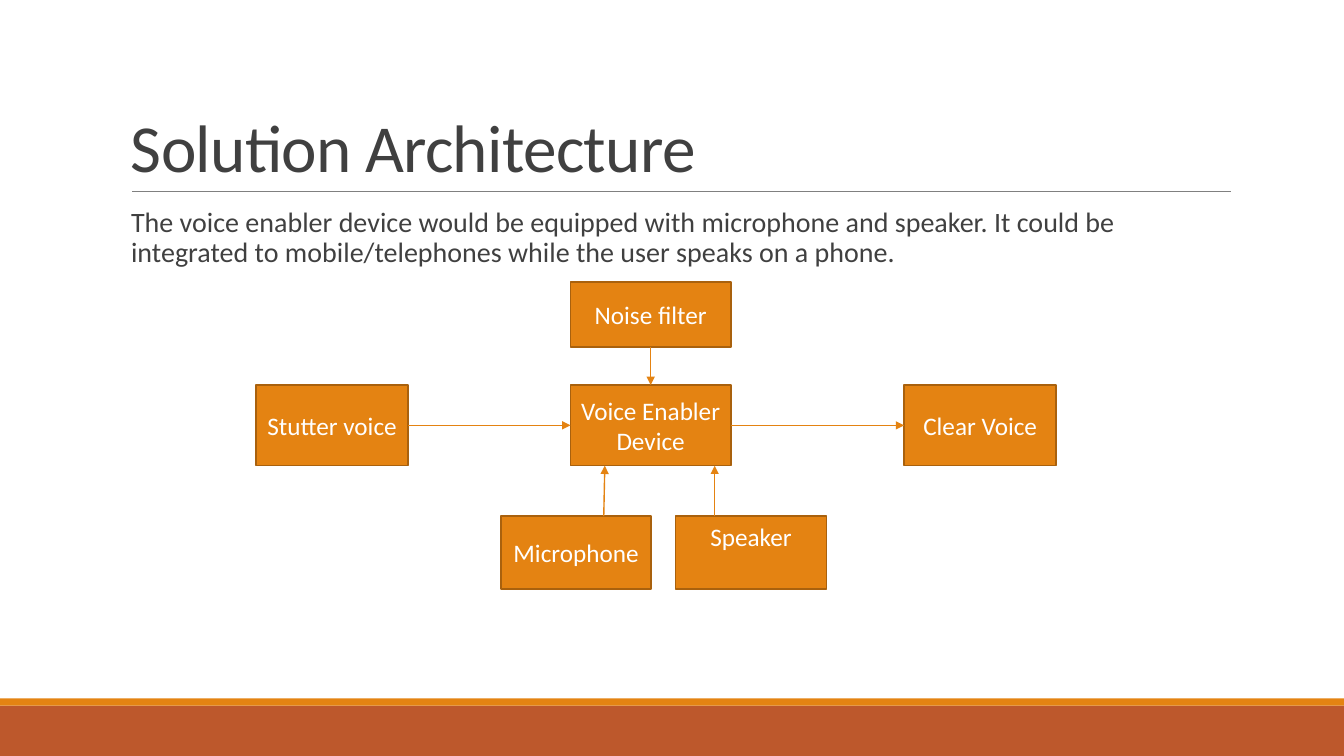
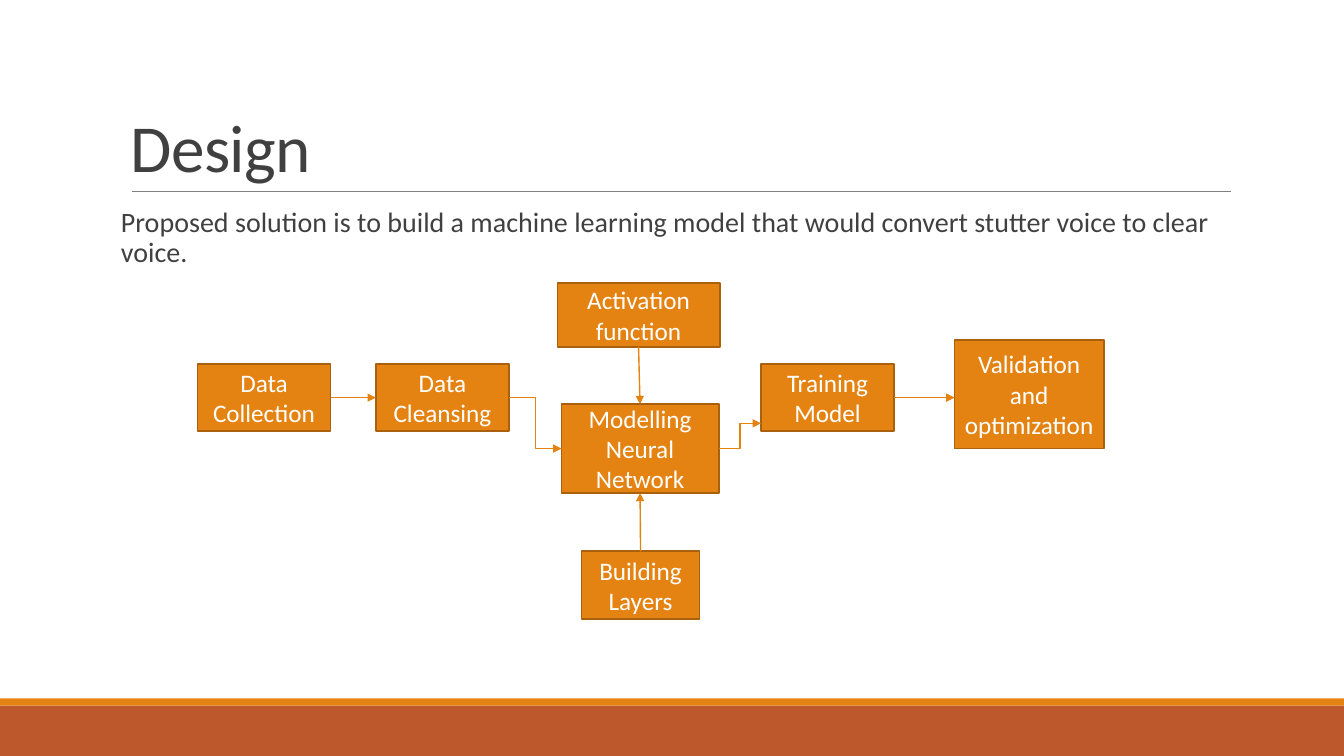
from dataclasses import dataclass

from lxml import etree
from pptx import Presentation
from pptx.dml.color import RGBColor
from pptx.enum.shapes import MSO_CONNECTOR, MSO_SHAPE
from pptx.enum.text import MSO_ANCHOR, PP_ALIGN
from pptx.oxml.ns import qn
from pptx.util import Inches, Pt

RECTANGLE = MSO_SHAPE.RECTANGLE
STRAIGHT, ELBOW = MSO_CONNECTOR.STRAIGHT, MSO_CONNECTOR.ELBOW
TOP, MIDDLE, BOTTOM = MSO_ANCHOR.TOP, MSO_ANCHOR.MIDDLE, MSO_ANCHOR.BOTTOM
LEFT, CENTER = PP_ALIGN.LEFT, PP_ALIGN.CENTER
TOP_SIDE, LEFT_SIDE, BOTTOM_SIDE, RIGHT_SIDE = range(4)

WIDTH, HEIGHT = Inches(13.33), Inches(7.5)
COLUMNS, ROWS = 40, 30
BLANK_LAYOUT = 6


@dataclass(frozen=True)
class Theme:
    font: str = "Calibri"
    text: RGBColor = RGBColor(0x40, 0x40, 0x40)
    light: RGBColor = RGBColor(0xFF, 0xFF, 0xFF)
    accent: RGBColor = RGBColor(0xE4, 0x83, 0x12)
    edge: RGBColor = RGBColor(0xA9, 0x61, 0x0D)
    footer: RGBColor = RGBColor(0xBD, 0x58, 0x2C)
    rule: RGBColor = RGBColor(0x80, 0x80, 0x80)
    title_size: int = 48
    body_size: int = 20
    box_size: int = 18
    edge_width: float = 1.25
    arrow_width: float = 1
    rule_width: float = 0.5


THEME = Theme()


def column(count):
    return round(WIDTH * count / COLUMNS)


def row(count):
    return round(HEIGHT * count / ROWS)


def area(left, top, width, height):
    return column(left), row(top), column(width), row(height)


def write(frame, text, size, color, align, anchor):
    frame.word_wrap = True
    frame.vertical_anchor = anchor
    para = frame.paragraphs[0]
    para.text = text
    para.alignment = align
    para.font.name = THEME.font
    para.font.size = Pt(size)
    para.font.color.rgb = color
    return para


def add_rectangle(page, place, fill):
    shape = page.shapes.add_shape(RECTANGLE, *area(*place))
    shape.shadow.inherit = False
    shape.fill.solid()
    shape.fill.fore_color.rgb = fill
    shape.line.fill.background()
    return shape


def add_box(page, text, left, top, width, height, anchor=MIDDLE):
    box = add_rectangle(page, (left, top, width, height), THEME.accent)
    box.line.color.rgb = THEME.edge
    box.line.width = Pt(THEME.edge_width)
    write(box.text_frame, text, THEME.box_size, THEME.light, CENTER, anchor)
    return box


def add_line(page, kind, start, end, color, width):
    line = page.shapes.add_connector(
        kind, column(start[0]), row(start[1]), column(end[0]), row(end[1])
    )
    line.line.color.rgb = color
    line.line.width = Pt(width)
    etree.SubElement(line._element.spPr, qn("a:effectLst"))
    return line


def add_arrow(page, start, end, kind=STRAIGHT):
    arrow = add_line(page, kind, start, end, THEME.accent, THEME.arrow_width)
    outline = arrow._element.spPr.find(qn("a:ln"))
    etree.SubElement(outline, qn("a:tailEnd"), type="triangle")
    return arrow


def link(page, source, source_side, target, target_side, kind=STRAIGHT):
    arrow = add_arrow(page, (0, 0), (1, 1), kind)
    arrow.begin_connect(source, source_side)
    arrow.end_connect(target, target_side)


def add_title(page, text):
    frame = page.shapes.add_textbox(*area(3.6, 1.24, 33, 6.36)).text_frame
    para = write(frame, text, THEME.title_size, THEME.text, LEFT, BOTTOM)
    para.line_spacing = 0.85
    para.runs[0].font._element.set("spc", "-50")


def add_body(page, text, indent):
    frame = page.shapes.add_textbox(*area(3.6, 8.08, 33, 17.6)).text_frame
    frame.margin_left = frame.margin_right = 0
    para = write(frame, text, THEME.body_size, THEME.text, LEFT, TOP)
    para.line_spacing = 0.9
    para.space_before = Pt(12)
    para.space_after = Pt(2)
    para._p.get_or_add_pPr().set("marL", str(Inches(indent)))


def add_page(deck, title, body, indent=0):
    page = deck.slides.add_slide(deck.slide_layouts[BLANK_LAYOUT])
    add_rectangle(page, (0, 28, COLUMNS, 2), THEME.footer)
    add_rectangle(page, (0, 27.72, COLUMNS, 0.28), THEME.accent)
    add_line(page, STRAIGHT, (3.93, 7.6), (36.63, 7.6), THEME.rule, THEME.rule_width)
    add_title(page, title)
    add_body(page, body, indent)
    return page


def add_architecture(deck):
    page = add_page(
        deck,
        "Solution Architecture",
        "The voice enabler device would be equipped with microphone and speaker. "
        "It could be integrated to mobile/telephones while the user speaks on a phone.",
        indent=0.1,
    )
    flow_top, flow_height = 15.28, 3.2
    flow_bottom = flow_top + flow_height
    parts_top, parts_height = 20.48, 2.88
    stutter = add_box(page, "Stutter voice", 7.62, flow_top, 4.53, flow_height)
    device = add_box(page, "Voice Enabler Device", 16.98, flow_top, 4.77, flow_height)
    clear = add_box(page, "Clear Voice", 26.91, flow_top, 4.53, flow_height)
    noise = add_box(page, "Noise filter", 16.98, 11.2, 4.77, 2.56)
    add_box(page, "Microphone", 14.91, parts_top, 4.47, parts_height)
    add_box(page, "Speaker", 20.1, parts_top, 4.5, parts_height, TOP)
    link(page, stutter, RIGHT_SIDE, device, LEFT_SIDE)
    link(page, device, RIGHT_SIDE, clear, LEFT_SIDE)
    link(page, noise, BOTTOM_SIDE, device, TOP_SIDE)
    for start, end in ((17.97, 18), (21.27, 21.27)):
        add_arrow(page, (start, parts_top), (end, flow_bottom))


def add_design(deck):
    page = add_page(
        deck,
        "Design",
        "Proposed solution is to build a machine learning model that would convert "
        "stutter voice to clear voice.",
    )
    step_top, step_width, step_height = 14.44, 3.96, 2.68
    step_middle = step_top + step_height / 2
    collection, cleansing, training = (
        add_box(page, text, left, step_top, step_width, step_height)
        for text, left in (
            ("Data Collection", 5.88),
            ("Data Cleansing", 11.19),
            ("Training Model", 22.65),
        )
    )
    network = add_box(page, "Modelling Neural Network", 16.71, 16.04, 4.68, 3.52)
    add_box(page, "Validation and optimization", 28.41, 13.48, 4.44, 4.32)
    layers = add_box(page, "Building Layers", 17.31, 21.88, 3.51, step_height)
    activation = add_box(page, "Activation function", 16.59, 11.24, 4.83, 2.52)
    link(page, collection, RIGHT_SIDE, cleansing, LEFT_SIDE)
    link(page, cleansing, RIGHT_SIDE, network, LEFT_SIDE, ELBOW)
    link(page, activation, BOTTOM_SIDE, network, TOP_SIDE)
    link(page, layers, TOP_SIDE, network, BOTTOM_SIDE)
    add_arrow(page, (21.39, 17.8), (22.65, 16.8), ELBOW)
    add_arrow(page, (22.65 + step_width, step_middle), (28.41, step_middle))


def main():
    deck = Presentation()
    deck.slide_width, deck.slide_height = WIDTH, HEIGHT
    add_architecture(deck)
    add_design(deck)
    deck.save("out.pptx")


main()
